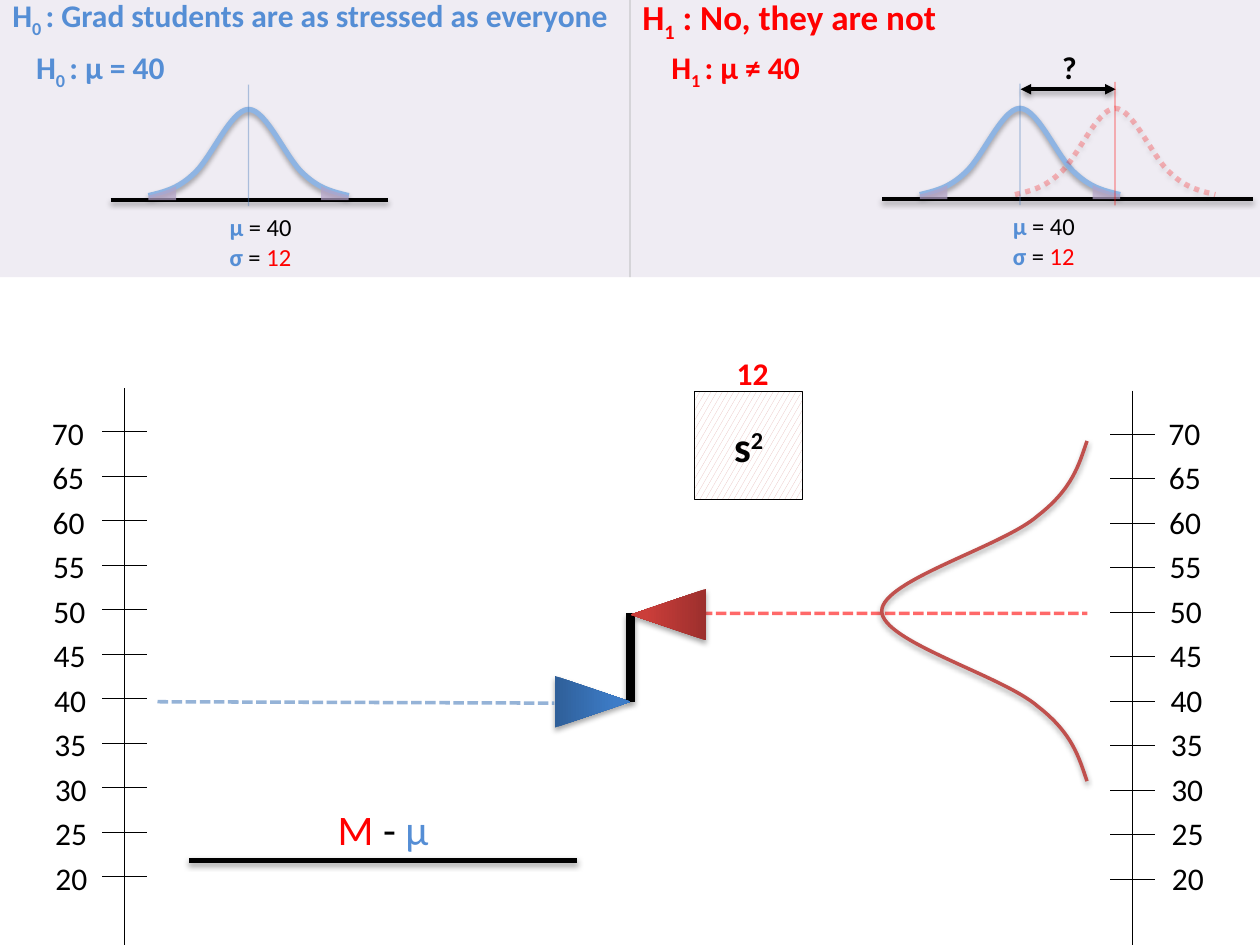
from lxml.etree import SubElement
from pptx import Presentation
from pptx.dml.color import RGBColor
from pptx.enum.dml import MSO_LINE, MSO_PATTERN
from pptx.enum.shapes import MSO_CONNECTOR, MSO_SHAPE
from pptx.enum.text import MSO_ANCHOR, PP_ALIGN
from pptx.oxml.ns import qn
from pptx.util import Pt

BLACK = RGBColor(0x00, 0x00, 0x00)
WHITE = RGBColor(0xFF, 0xFF, 0xFF)
RED = RGBColor(0xFF, 0x00, 0x00)
BLUE = RGBColor(0x55, 0x8E, 0xD5)
LINE_BLUE = RGBColor(0x4B, 0x7E, 0xBC)
CURVE_BLUE = RGBColor(0x8E, 0xB4, 0xE3)
CURVE_RED = RGBColor(0xC0, 0x50, 0x4D)
PURPLE = RGBColor(0xB3, 0xA2, 0xC7)
GREY = RGBColor(0xBF, 0xBF, 0xBF)
PINK = RGBColor(0xE6, 0xB9, 0xB8)
RED_GRADIENT = (RGBColor(0x9C, 0x2F, 0x2D), RGBColor(0xCB, 0x3E, 0x3A))
BLUE_GRADIENT = (RGBColor(0x2F, 0x5F, 0x99), RGBColor(0x3D, 0x7C, 0xC7))

# Bezier controls of a bell: (share of width, share of height)
HALF_BELL = [(0, 0), (0.07, 0.04), (0.14, 0.07), (0.22, 0.24),
             (0.31, 0.41), (0.41, 1), (0.5, 1)]
BELL = HALF_BELL + [(1 - u, h) for u, h in reversed(HALF_BELL[:-1])]
# Shaded tail: points from the outer end of the bell, above the baseline
TAIL = [(0, 0), (0, 2.6), (4, 3.6), (8, 4.8), (12, 6.2), (15.8, 8), (15.8, 0)]


def set_alpha(fill_parent, percent):
    color = next(fill_parent.iter(qn("a:srgbClr")))
    SubElement(color, qn("a:alpha"), val=str(percent * 1000))


def set_shadow(sp, shadow):
    spPr = sp._element.spPr
    effects = spPr.find(qn("a:effectLst"))
    if effects is None:
        effects = SubElement(spPr, qn("a:effectLst"))
    if shadow:
        outer = SubElement(effects, qn("a:outerShdw"), blurRad="40000", dist="23000",
                           dir="5400000", rotWithShape="0")
        color = SubElement(outer, qn("a:srgbClr"), val="000000")
        SubElement(color, qn("a:alpha"), val="35000")


def style_line(sp, color, width, dash=None, alpha=None):
    sp.line.color.rgb = color
    sp.line.width = Pt(width)
    if dash:
        sp.line.dash_style = dash
    if alpha:
        set_alpha(sp.line._ln, alpha)


def add_line(s, x1, y1, x2, y2, color=BLACK, width=0.75, dash=None, alpha=None,
             shadow=False, arrows=False):
    line = s.shapes.add_connector(MSO_CONNECTOR.STRAIGHT, Pt(x1), Pt(y1), Pt(x2), Pt(y2))
    style_line(line, color, width, dash, alpha)
    if arrows:
        for end in ("a:headEnd", "a:tailEnd"):
            SubElement(line.line._ln, qn(end), type="triangle")
    set_shadow(line, shadow)


def add_outline(s, points, closed):
    points = [(Pt(x), Pt(y)) for x, y in points]
    builder = s.shapes.build_freeform(*points[0])
    builder.add_line_segments(points[1:], close=closed)
    sp = builder.convert_to_shape()
    sp.shadow.inherit = False
    return sp


def add_curve(s, controls, color, width, **line):
    """Draw cubic Beziers: a start point, then three controls a segment."""
    sp = add_outline(s, controls, False)
    segments = list(sp._element.iter(qn("a:lnTo")))
    outline = segments[0].getparent()
    for i in range(0, len(segments), 3):
        curve = SubElement(outline, qn("a:cubicBezTo"))
        for segment in segments[i:i + 3]:
            curve.append(segment[0])
            outline.remove(segment)
    sp.fill.background()
    style_line(sp, color, width, **line)
    set_shadow(sp, True)


def write(sp, paragraphs, align=PP_ALIGN.LEFT, anchor=MSO_ANCHOR.TOP, wrap=True, **base):
    """Fill a shape with paragraphs of (text, format) runs."""
    tf = sp.text_frame
    tf.word_wrap = wrap
    tf.vertical_anchor = anchor
    for i, runs in enumerate(paragraphs):
        p = tf.paragraphs[0] if i == 0 else tf.add_paragraph()
        p.alignment = align
        for text, fmt in runs:
            r = p.add_run()
            r.text = text
            values = {"name": "Calibri", "size": 18, "color": BLACK, **base, **fmt}
            r.font.color.rgb = values.pop("color")
            r.font.size = Pt(values.pop("size"))
            shift = values.pop("shift", 0)
            if shift:
                r._r.get_or_add_rPr().set("baseline", str(shift * 1000))
            for key, value in values.items():
                setattr(r.font, key, value)


def add_text(s, x, y, w, h, paragraphs, **options):
    write(s.shapes.add_textbox(Pt(x), Pt(y), Pt(w), Pt(h)), paragraphs, **options)


def hypothesis(s, x, y, w, index, claim, **options):
    add_text(s, x, y, w, 29, [[("H", {}), (index, {"shift": -25}), (claim, {})]],
             bold=True, **options)


def score_axis(s, x, y, label_right):
    """Vertical axis from 70 down to 20; y is the top of the line."""
    pitch = 25.43
    labels = s.shapes.add_group_shape()
    for i, score in enumerate(range(70, 19, -5)):
        tick = y + 24.9 + i * pitch
        add_line(s, x - 12.8, tick, x + 12.8, tick)
        add_text(labels, label_right - 57 + 0.2 * i, 234.7 + i * pitch, 57, 25.2,
                 [[(str(score), {})]], align=PP_ALIGN.RIGHT, anchor=MSO_ANCHOR.MIDDLE)
    add_line(s, x, y, x, 540)


def upright_bell(x, y, w=114.5, h=49.3):
    """Bell standing on y, starting at x."""
    return [(x + u * w, y - v * h) for u, v in BELL]


def null_distribution(s, x, y, w, stats_x):
    """Bell with shaded tails over a baseline that starts at x, y."""
    add_line(s, x, y, x + w, y, width=2, shadow=True)
    bell = upright_bell(x + 21.6, y - 2.6)
    left, right = bell[0][0], bell[-1][0]
    mean = (left + right) / 2
    add_curve(s, bell, CURVE_BLUE, 3)
    add_line(s, mean, y - 66, mean, y + 3.4, LINE_BLUE, alpha=42)
    symbol = {"color": BLUE, "bold": True}
    add_text(s, stats_x, y + 3.5, 70, 41,
             [[("µ", symbol), (" = 40", {})],
              [("σ", symbol), (" = ", {}), ("12", {"color": RED})]], size=14)
    for end, inward in ((right, -1), (left, 1)):
        tail = add_outline(s, [(end + inward * dx, y - dy) for dx, dy in TAIL], True)
        tail.fill.solid()
        tail.fill.fore_color.rgb = PURPLE
        set_alpha(tail._element.spPr, 70)
        tail.line.fill.background()


def hypothesis_band(s, w, h):
    mid = w / 2
    backdrop = s.shapes.add_group_shape()
    band = backdrop.shapes.add_shape(MSO_SHAPE.RECTANGLE, 0, 0, Pt(w), Pt(h))
    band.shadow.inherit = False
    band.fill.solid()
    band.fill.fore_color.rgb = PURPLE
    set_alpha(band._element.spPr, 20)
    band.line.fill.background()
    add_line(backdrop, mid, 0, mid, h, GREY, alpha=79)
    hypothesis(s, 0, -5.8, mid, "0 ", ": Grad students are as stressed as everyone", color=BLUE)
    hypothesis(s, mid, -6.1, 396, "1", " : No, they are not", color=RED, size=20)
    shifted = s.shapes.add_group_shape()
    null_distribution(shifted, 504, 113.8, 211.9, 571.7)
    add_curve(shifted, upright_bell(580, 111.2), RED, 3, dash=MSO_LINE.ROUND_DOT, alpha=26)
    add_line(shifted, 583.2, 51, 637.5, 51, width=2, shadow=True, arrows=True)
    add_line(shifted, 637.2, 46.8, 637.2, 117.4, RED, alpha=42)
    null_distribution(s.shapes.add_group_shape(), 63.2, 114.4, 158.6, 124.1)
    hypothesis(s, 13.5, 23.8, 94.3, "0 ", ": µ = 40", color=BLUE, wrap=False)
    hypothesis(s, 376.5, 23.8, 94.3, "1 ", ": µ ≠ 40", color=RED, wrap=False)
    add_text(s, 594.2, 23.8, 33.8, 29, [[("?", {})]], align=PP_ALIGN.CENTER, bold=True)


def pointer(s, x, y, rotation, colors):
    """Triangle turned sideways; x, y is its top left before turning."""
    sp = s.shapes.add_shape(MSO_SHAPE.ISOSCELES_TRIANGLE, Pt(x), Pt(y), Pt(29.5), Pt(43.2))
    sp.rotation = rotation
    sp.shadow.inherit = False
    sp.fill.gradient()
    sp.fill.gradient_angle = 90
    for stop, color, position in zip(sp.fill.gradient_stops, colors, (0, 0.8)):
        stop.color.rgb = color
        stop.position = position
    sp.line.fill.background()
    set_shadow(sp, True)


def mean_comparison(s, mean_y, mu_y):
    add_line(s, 360.2, mu_y, 360.2, mean_y, width=5.5, shadow=True)
    add_line(s, 401, mean_y, 621.4, mean_y, RED, 2, MSO_LINE.SQUARE_DOT, 58)
    pointer(s, 367.2, mean_y - 20.9, 270, RED_GRADIENT)
    pointer(s, 324, mu_y - 21.6, 90, BLUE_GRADIENT)
    add_line(s, 90, mu_y, 316.8, mu_y + 0.8, LINE_BLUE, 2, MSO_LINE.SQUARE_DOT, 58)
    sideways = [(621.2 - v * 117.3, 446.4 - u * 194.4) for u, v in BELL]
    add_curve(s, sideways, CURVE_RED, 2)


def variance_square(s, x, y, size):
    sp = s.shapes.add_shape(MSO_SHAPE.RECTANGLE, Pt(x), Pt(y), Pt(size), Pt(size))
    sp.shadow.inherit = False
    sp.fill.patterned()
    sp.fill.pattern = MSO_PATTERN.LARGE_CONFETTI
    sp.fill.fore_color.rgb = PINK
    sp.fill.back_color.rgb = WHITE
    style_line(sp, BLACK, 0.75)
    write(sp, [[("s", {}), ("2", {"shift": 30})]], align=PP_ALIGN.CENTER,
          anchor=MSO_ANCHOR.MIDDLE, size=24, bold=True)
    add_text(s, x + 17, y - 25.1, 72, 29, [[("12", {})]], color=RED, bold=True)


def test_ratio(s, x, y, w):
    add_line(s, x, y, x + w, y, width=3, shadow=True)
    add_text(s, x, y - 35.8, w, 36, [[("M", {"color": RED}), (" - ", {}), ("µ", {"color": BLUE})]],
             align=PP_ALIGN.CENTER, size=24)


def main():
    prs = Presentation()
    prs.slide_width, prs.slide_height = Pt(720), Pt(540)
    s = prs.slides.add_slide(prs.slide_layouts[6])
    test_ratio(s, 108, 491.6, 221.8)
    score_axis(s, 71.2, 221.8, 55)
    score_axis(s, 647.3, 223.3, 693)
    mean_comparison(s, 350.5, 401)
    variance_square(s, 396.9, 223.7, 61.7)
    hypothesis_band(s, 720, 158.4)
    prs.save("out.pptx")


if __name__ == "__main__":
    main()
